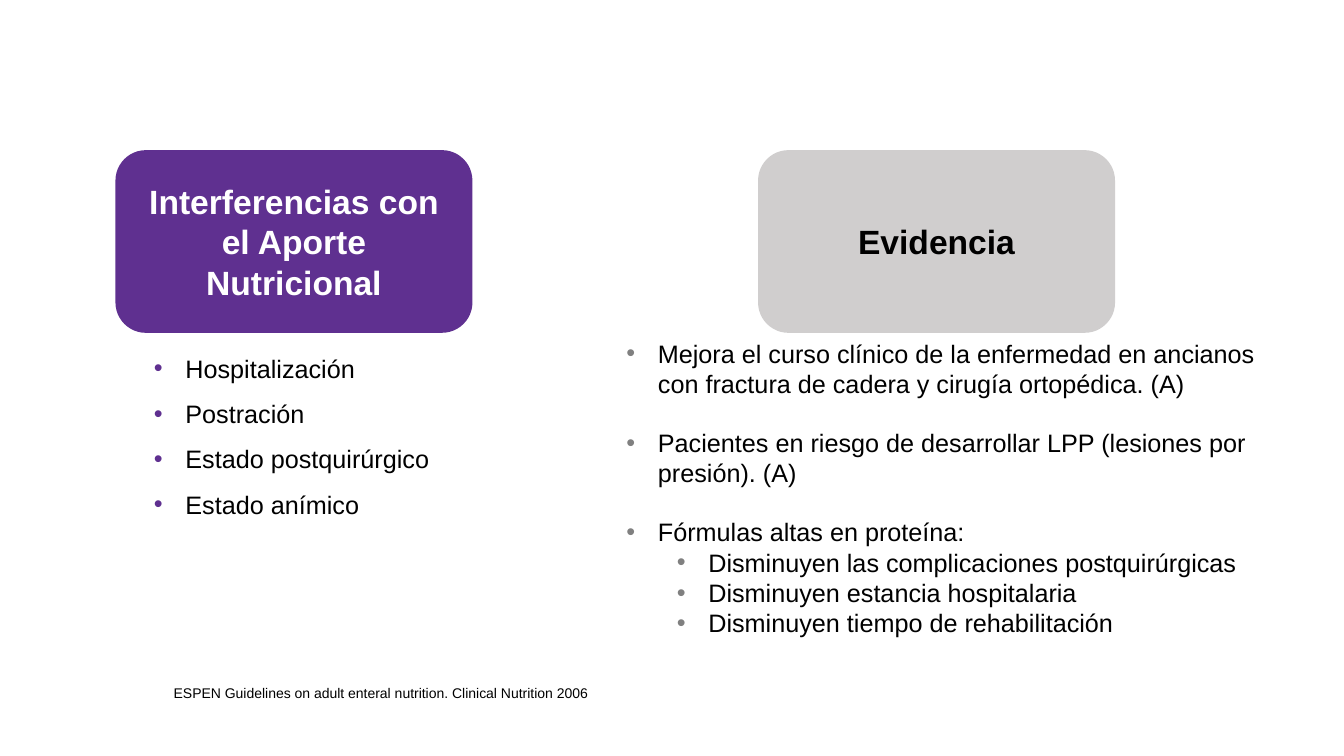
import dataclasses

import pptx
import pptx.dml.color
import pptx.enum.shapes
import pptx.enum.text
import pptx.oxml
import pptx.oxml.ns
import pptx.util

EMU_PER_PX = 9525
TWO_CONTENT_LAYOUT = 3
HEADING_TOP, HEADING_WIDTH, HEADING_HEIGHT = 143, 340, 174
LIST_TOP = HEADING_TOP + HEADING_HEIGHT

INTERFERENCES = [
    (0, "Hospitalización", 0),
    (0, "Postración", 0),
    (0, "Estado postquirúrgico", 0),
    (0, "Estado anímico", 0),
]
# Level, text, space before in points
EVIDENCE = [
    (0, "Mejora el curso clínico de la enfermedad en ancianos con fractura de cadera y cirugía ortopédica. (A)", 0),
    (0, "Pacientes en riesgo de desarrollar LPP (lesiones por presión). (A)", 20.7),
    (0, "Fórmulas altas en proteína:", 20.7),
    (1, "Disminuyen las complicaciones postquirúrgicas", 0),
    (1, "Disminuyen estancia hospitalaria", 0),
    (1, "Disminuyen tiempo de rehabilitación", 0),
]


@dataclasses.dataclass(frozen=True)
class Theme:
    font: str = "Arial"
    purple: str = "5F3090"
    light_gray: str = "D0CECE"
    bullet_gray: str = "808080"
    black: str = "000000"
    white: str = "FFFFFF"
    heading_size: int = 24
    body_size: int = 18
    source_size: int = 10
    bullet_indent: int = 30
    level_indent: int = 48


def px(length):
    return pptx.util.Emu(length * EMU_PER_PX)


def rgb(color):
    return pptx.dml.color.RGBColor.from_string(color)


class SlideBuilder:
    def __init__(self, slide, theme):
        self.slide = slide
        self.theme = theme

    def add_run(self, paragraph, text, size, color, bold=False):
        run = paragraph.add_run()
        run.text = text
        run.font.name = self.theme.font
        run.font.size = pptx.util.Pt(size)
        run.font.bold = bold
        run.font.color.rgb = rgb(color)

    def set_bullet(self, paragraph, color):
        properties = paragraph._p.get_or_add_pPr()
        indent = self.theme.bullet_indent
        margin = indent + paragraph.level * self.theme.level_indent
        properties.set("marL", str(px(margin)))
        properties.set("indent", str(px(-indent)))
        namespace = pptx.oxml.ns.nsdecls("a")
        for element in (
            f'<a:buClr {namespace}><a:srgbClr val="{color}"/></a:buClr>',
            f'<a:buFont {namespace} typeface="{self.theme.font}"/>',
            f'<a:buChar {namespace} char="•"/>',
        ):
            properties.append(pptx.oxml.parse_xml(element))

    def bullet_list(self, index, left, width, height, items, bullet_color, line_spacing):
        """Move and fill the body placeholder with the given index."""
        body = self.slide.placeholders[index]
        body.left, body.top = px(left), px(LIST_TOP)
        body.width, body.height = px(width), px(height)
        frame = body.text_frame
        frame.word_wrap = True
        frame.auto_size = pptx.enum.text.MSO_AUTO_SIZE.SHAPE_TO_FIT_TEXT
        for position, (level, text, space_before) in enumerate(items):
            paragraph = frame.add_paragraph() if position else frame.paragraphs[0]
            paragraph.level = level
            self.set_bullet(paragraph, bullet_color)
            paragraph.line_spacing = line_spacing
            paragraph.space_before = pptx.util.Pt(space_before)
            self.add_run(paragraph, text, self.theme.body_size, self.theme.black)

    def heading(self, left, text, fill, color):
        shape = self.slide.shapes.add_shape(
            pptx.enum.shapes.MSO_SHAPE.ROUNDED_RECTANGLE,
            px(left), px(HEADING_TOP), px(HEADING_WIDTH), px(HEADING_HEIGHT))
        shape.shadow.inherit = False
        shape.fill.solid()
        shape.fill.fore_color.rgb = rgb(fill)
        shape.line.fill.background()
        frame = shape.text_frame
        frame.word_wrap = True
        frame.vertical_anchor = pptx.enum.text.MSO_ANCHOR.MIDDLE
        paragraph = frame.paragraphs[0]
        paragraph.alignment = pptx.enum.text.PP_ALIGN.CENTER
        self.add_run(paragraph, text, self.theme.heading_size, color, bold=True)

    def source_line(self, left, top, width, height, text):
        box = self.slide.shapes.add_textbox(px(left), px(top), px(width), px(height))
        frame = box.text_frame
        frame.word_wrap = True
        frame.auto_size = pptx.enum.text.MSO_AUTO_SIZE.SHAPE_TO_FIT_TEXT
        self.add_run(frame.paragraphs[0], text, self.theme.source_size, self.theme.black)

    def remove_empty_placeholders(self):
        for placeholder in list(self.slide.placeholders):
            if not placeholder.text_frame.text:
                placeholder.element.getparent().remove(placeholder.element)


def main():
    presentation = pptx.Presentation()
    presentation.slide_width, presentation.slide_height = px(1280), px(720)
    slide = presentation.slides.add_slide(presentation.slide_layouts[TWO_CONTENT_LAYOUT])
    theme = Theme()
    builder = SlideBuilder(slide, theme)

    builder.bullet_list(1, 137, 434, 179, INTERFERENCES, theme.purple, 1.5)
    builder.bullet_list(2, 587, 620, 300, EVIDENCE, theme.bullet_gray, 1.0)
    builder.source_line(
        156, 647, 471, 26,
        "ESPEN Guidelines on adult enteral nutrition. Clinical Nutrition 2006")
    builder.heading(110, "Interferencias con el Aporte Nutricional", theme.purple, theme.white)
    builder.heading(722, "Evidencia", theme.light_gray, theme.black)
    builder.remove_empty_placeholders()

    presentation.save("out.pptx")


if __name__ == "__main__":
    main()
